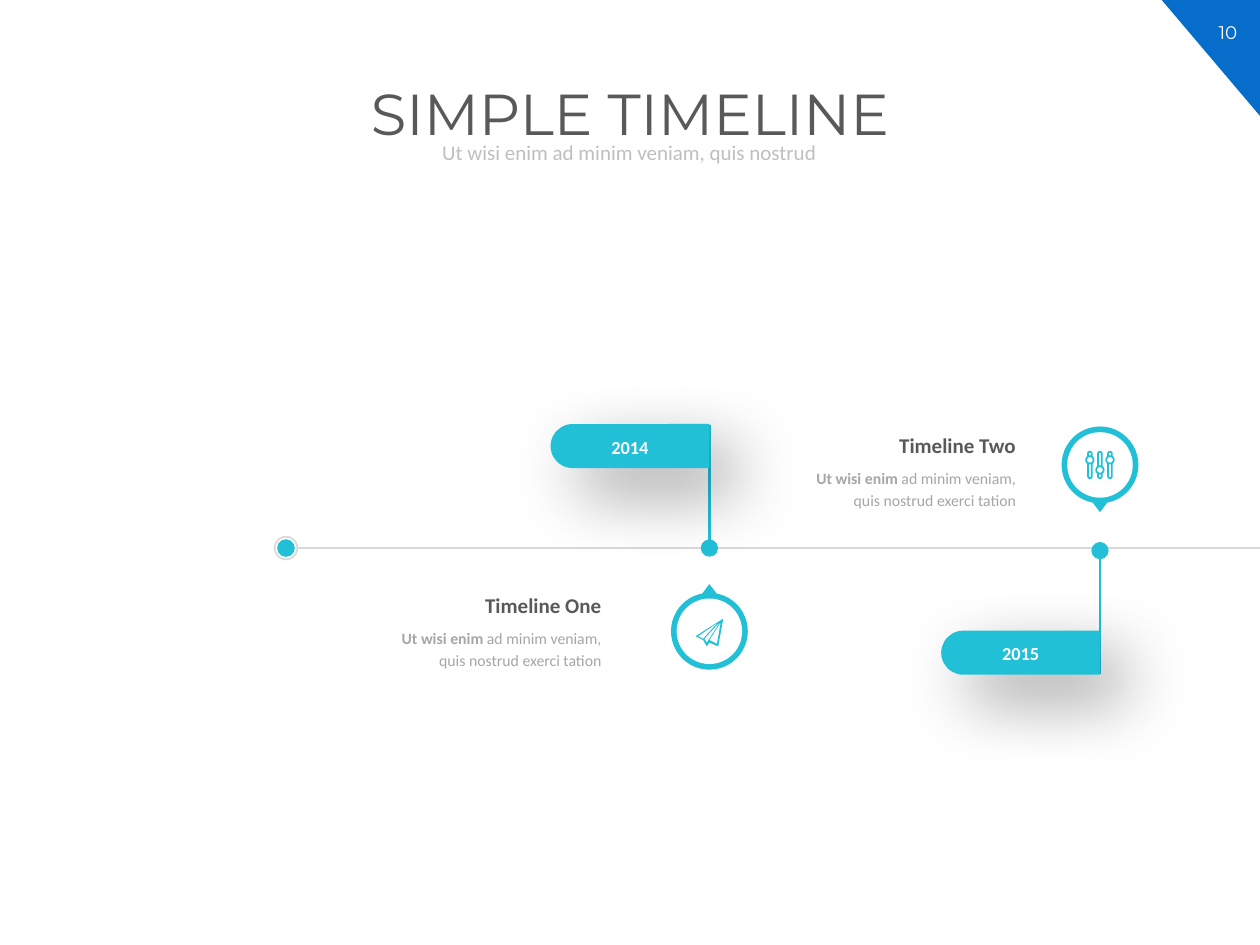
import pptx
import pptx.util
import pptx.dml.color
import pptx.enum.shapes
import pptx.enum.text
import pptx.oxml
from pptx.util import Inches

INK = {"blue": "066DCA", "teal": "21C0D7", "white": "FFFFFF", "dark": "595959",
       "body": "A6A6A6", "pale": "BFBFBF", "rule": "D9D9D9"}
KIND = pptx.enum.shapes.MSO_SHAPE
ALIGN = pptx.enum.text.PP_ALIGN
SPOT = pptx.enum.text.MSO_ANCHOR
NS = 'xmlns:a="http://schemas.openxmlformats.org/drawingml/2006/main"'
SHADOW = (f'<a:effectLst {NS}><a:outerShdw blurRad="508000" dist="254000" dir="2700000" '
          'algn="tl" rotWithShape="0"><a:srgbClr val="000000"><a:alpha val="40000"/>'
          '</a:srgbClr></a:outerShdw></a:effectLst>')
PLANE = [
    [(574, 491), (552, 505), (558, 508), (561, 513), (563, 510), (570, 513)],
    [(569, 511), (563, 508.5), (572, 494)],
    [(559, 507), (572, 493), (561, 510)],
    [(554, 505), (570, 494), (558, 507)],
]


def color(name):
    """Return the named colour."""
    return pptx.dml.color.RGBColor.from_string(INK[name])


def paint(item, fill=None, line=None, width=1):
    """Set fill and line of a shape and drop its shadow."""
    item.shadow.inherit = False
    if fill:
        item.fill.solid()
        item.fill.fore_color.rgb = color(fill)
    else:
        item.fill.background()
    if line:
        item.line.color.rgb = color(line)
        item.line.width = pptx.util.Pt(width)
    else:
        item.line.fill.background()


def shape(slide, kind, x, y, w, h, turn=0, **style):
    """Add a painted preset shape centred on x, y."""
    item = slide.shapes.add_shape(
        kind, Inches(x - w / 2), Inches(y - h / 2), Inches(w), Inches(h))
    item.rotation = turn
    paint(item, **style)
    return item


def write(item, *runs, size, ink, font="Calibri", bold=False, lead=False,
          align=ALIGN.CENTER, anchor=SPOT.TOP, gap=None):
    """Fill a text shape with one paragraph; lead makes the first run bold."""
    frame = item.text_frame
    frame.word_wrap = True
    frame.vertical_anchor = anchor
    para = frame.paragraphs[0]
    para.alignment = align
    para.line_spacing = gap
    for i, words in enumerate(runs):
        run = para.add_run()
        run.text = words
        run.font.name = font
        run.font.size = pptx.util.Pt(size)
        run.font.bold = bold or (lead and i == 0)
        run.font.color.rgb = color(ink)


def box(slide, x, y, w, h):
    """Add an empty text box."""
    return slide.shapes.add_textbox(Inches(x), Inches(y), Inches(w), Inches(h))


def line(slide, start, end, ink, width, dot=False):
    """Add a straight line, with a round end if dot is set."""
    item = slide.shapes.add_connector(
        pptx.enum.shapes.MSO_CONNECTOR.STRAIGHT, *map(Inches, start + end))
    item.line.color.rgb = color(ink)
    item.line.width = pptx.util.Pt(width)
    if dot:
        item.line._get_or_add_ln().append(pptx.oxml.parse_xml(
            f'<a:tailEnd {NS} type="oval" w="lg" len="lg"/>'))
    item._element.spPr.append(pptx.oxml.parse_xml(f"<a:effectLst {NS}/>"))


def flag(slide, year, x, y, start, end):
    """Add a year flag at x, y on a stem that runs from start to end."""
    line(slide, (x + 0.63, start), (x + 0.63, end), "teal", 1.5, dot=True)
    item = shape(slide, KIND.ROUND_2_SAME_RECTANGLE, x, y, 0.35, 1.26, 270, fill="teal")
    item.adjustments[0] = 0.5
    props = item._element.spPr
    props.replace(props.effectLst, pptx.oxml.parse_xml(SHADOW))
    write(box(slide, x - 0.46, y - 0.13, 0.92, 0.28), year,
          size=10.5, ink="white", bold=True)


def note(slide, head, x, y):
    """Add a heading with its text below, both set to the right."""
    write(box(slide, x, y, 1.99, 0.3), head,
          size=12, ink="dark", bold=True, align=ALIGN.RIGHT)
    write(box(slide, x, y + 0.27, 1.99, 0.47), "Ut wisi enim ",
          "ad minim veniam, quis nostrud exerci tation",
          size=9, ink="body", lead=True, align=ALIGN.RIGHT, gap=1.14)


def badge(slide, x, y, side):
    """Add a ring with a pointer above (side -1) or below (side 1)."""
    shape(slide, KIND.OVAL, x, y, 0.61, 0.61, fill="teal")
    shape(slide, KIND.ISOSCELES_TRIANGLE, x, y + side * 0.335, 0.12, 0.08,
          180 if side > 0 else 0, fill="teal")
    shape(slide, KIND.OVAL, x, y, 0.52, 0.52, fill="white")


def plane(slide):
    """Draw the paper plane with its folds cut out."""
    first, *folds = PLANE
    form = slide.shapes.build_freeform(*first[0], scale=Inches(0.01))
    form.add_line_segments(first[1:], close=True)
    for fold in folds:
        form.move_to(*fold[0])
        form.add_line_segments(fold[1:], close=True)
    paint(form.convert_to_shape(), fill="teal")


def mixer(slide, x, y):
    """Draw three sliders centred on x, y."""
    style = {"fill": "white", "line": "teal", "width": 1}
    for i, knob in enumerate((-0.04, 0.04, -0.04)):
        mid = x + (i - 1) * 0.08
        bar = shape(slide, KIND.ROUNDED_RECTANGLE, mid, y, 0.03, 0.21, **style)
        bar.adjustments[0] = 0.5
        shape(slide, KIND.OVAL, mid, y + knob, 0.06, 0.06, **style)


def main():
    """Build the slide and save it."""
    deck = pptx.Presentation()
    deck.slide_width, deck.slide_height = Inches(10), Inches(7.5)
    slide = deck.slides.add_slide(deck.slide_layouts[5])

    shape(slide, KIND.RIGHT_TRIANGLE, 9.61, 0.46, 0.78, 0.92, 180, fill="blue")
    write(box(slide, 9.49, 0.12, 0.51, 0.28), "10",
          size=10.5, ink="white", font="Montserrat")
    title = slide.shapes.title
    title.left, title.top = Inches(0.57), Inches(0.63)
    title.width, title.height = Inches(8.86), Inches(0.73)
    write(title, "SIMPLE TIMELINE", size=33, ink="dark", font="Montserrat", gap=0.9)
    write(box(slide, 1.39, 1.09, 7.21, 0.26),
          "Ut wisi enim ad minim veniam, quis nostrud",
          size=12, ink="pale", anchor=SPOT.MIDDLE, gap=0.9)

    line(slide, (2.36, 4.35), (10, 4.35), "rule", 1)
    flag(slide, "2014", 5, 3.54, 3.37, 4.35)
    flag(slide, "2015", 8.1, 5.18, 5.35, 4.37)
    note(slide, "Timeline One", 2.88, 4.65)
    note(slide, "Timeline Two", 6.17, 3.38)
    shape(slide, KIND.OVAL, 2.27, 4.35, 0.14, 0.14, fill="teal")
    shape(slide, KIND.OVAL, 2.27, 4.35, 0.18, 0.18, line="rule")
    badge(slide, 8.73, 3.69, 1)
    mixer(slide, 8.73, 3.69)
    badge(slide, 5.63, 5.01, -1)
    plane(slide)
    deck.save("out.pptx")


if __name__ == "__main__":
    main()
